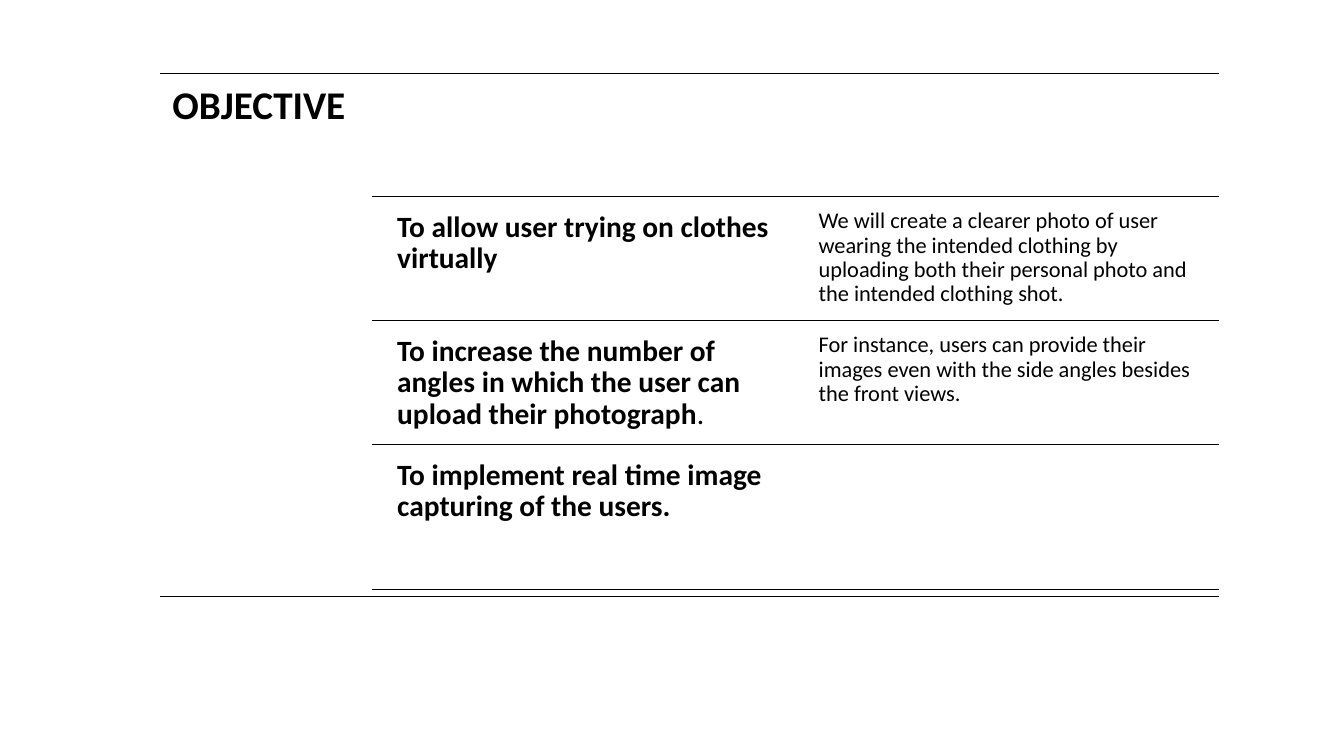
from pptx import Presentation
from pptx.dml.color import RGBColor
from pptx.enum.shapes import MSO_CONNECTOR
from pptx.enum.text import MSO_ANCHOR, MSO_AUTO_SIZE, PP_ALIGN
from pptx.oxml.ns import qn
from pptx.util import Inches, Pt
from lxml.etree import SubElement

COLOURS = {"background": "FFFFFF", "ink": "000000"}
FONT = "Calibri"
LEFT, RIGHT, TOP, BOTTOM = 1.59, 12.09, 0.73, 5.92
ROWS_LEFT = 3.69
ROW_EDGES = [1.95, 3.18, 4.41, 5.85]
COLUMN_WIDTH = 4.04
OBJECTIVES = [
    ([("To allow user trying on clothes virtually", True)],
     "We will create a clearer photo of user wearing the intended clothing by "
     "uploading both their personal photo and the intended clothing shot."),
    ([("To increase the number of angles in which the user can upload their photograph", True),
      (".", False)],
     "For instance, users can provide their images even with the side angles "
     "besides the front views."),
    ([("To implement real time image capturing of the users.", True)], None),
]


def add_rule(slide, left, top, weight):
    """Draw a horizontal line from left to the shared right edge."""
    rule = slide.shapes.add_connector(
        MSO_CONNECTOR.STRAIGHT, Inches(left), Inches(top), Inches(RIGHT), Inches(top))
    rule.line.color.rgb = RGBColor.from_string(COLOURS["ink"])
    rule.line.width = Pt(weight)
    SubElement(rule._element.spPr, qn("a:effectLst"))


def write_text(shape, spans, size, inset):
    """Fill a shape with one top-left paragraph of (text, bold) spans."""
    frame = shape.text_frame
    frame.word_wrap = True
    frame.auto_size = MSO_AUTO_SIZE.NONE
    frame.vertical_anchor = MSO_ANCHOR.TOP
    frame.margin_left = frame.margin_right = Inches(inset)
    frame.margin_top = frame.margin_bottom = Inches(inset)
    para = frame.paragraphs[0]
    para.alignment = PP_ALIGN.LEFT
    para.line_spacing = 0.9
    for text, bold in spans:
        span = para.add_run()
        span.text = text
        span.font.name = FONT
        span.font.size = Pt(size)
        span.font.bold = bold
        span.font.color.rgb = RGBColor.from_string(COLOURS["ink"])


def add_heading(slide, left, top, width, height):
    """Place the slide title in the left column under its rule."""
    add_rule(slide, left, top, 0.5)
    title = slide.shapes.title
    title.left, title.top = Inches(left), Inches(top)
    title.width, title.height = Inches(width), Inches(height)
    write_text(title, [("OBJECTIVE", True)], 28, 0.12)


def add_objective(slide, top, height, goal, detail):
    """Draw one row: a rule, the goal and its optional detail."""
    add_rule(slide, ROWS_LEFT, top, 1)
    cells = [(3.85, goal, 21, 0.09)]
    if detail:
        cells.append((RIGHT - COLUMN_WIDTH, [(detail, False)], 16, 0.07))
    for left, spans, size, inset in cells:
        box = slide.shapes.add_textbox(
            Inches(left), Inches(top + 0.06), Inches(COLUMN_WIDTH), Inches(height - 0.06))
        write_text(box, spans, size, inset)


def main():
    """Build the objective slide and save the deck."""
    deck = Presentation()
    deck.slide_width, deck.slide_height = Inches(13.33), Inches(7.5)
    slide = deck.slides.add_slide(deck.slide_layouts[5])
    slide.background.fill.solid()
    slide.background.fill.fore_color.rgb = RGBColor.from_string(COLOURS["background"])
    add_heading(slide, LEFT, TOP, ROWS_LEFT - LEFT, BOTTOM - TOP)
    for top, bottom, (goal, detail) in zip(ROW_EDGES, ROW_EDGES[1:], OBJECTIVES):
        add_objective(slide, top, bottom - top, goal, detail)
    add_rule(slide, ROWS_LEFT, ROW_EDGES[-1], 1)
    add_rule(slide, LEFT, BOTTOM, 0.5)
    deck.save("out.pptx")


if __name__ == "__main__":
    main()
